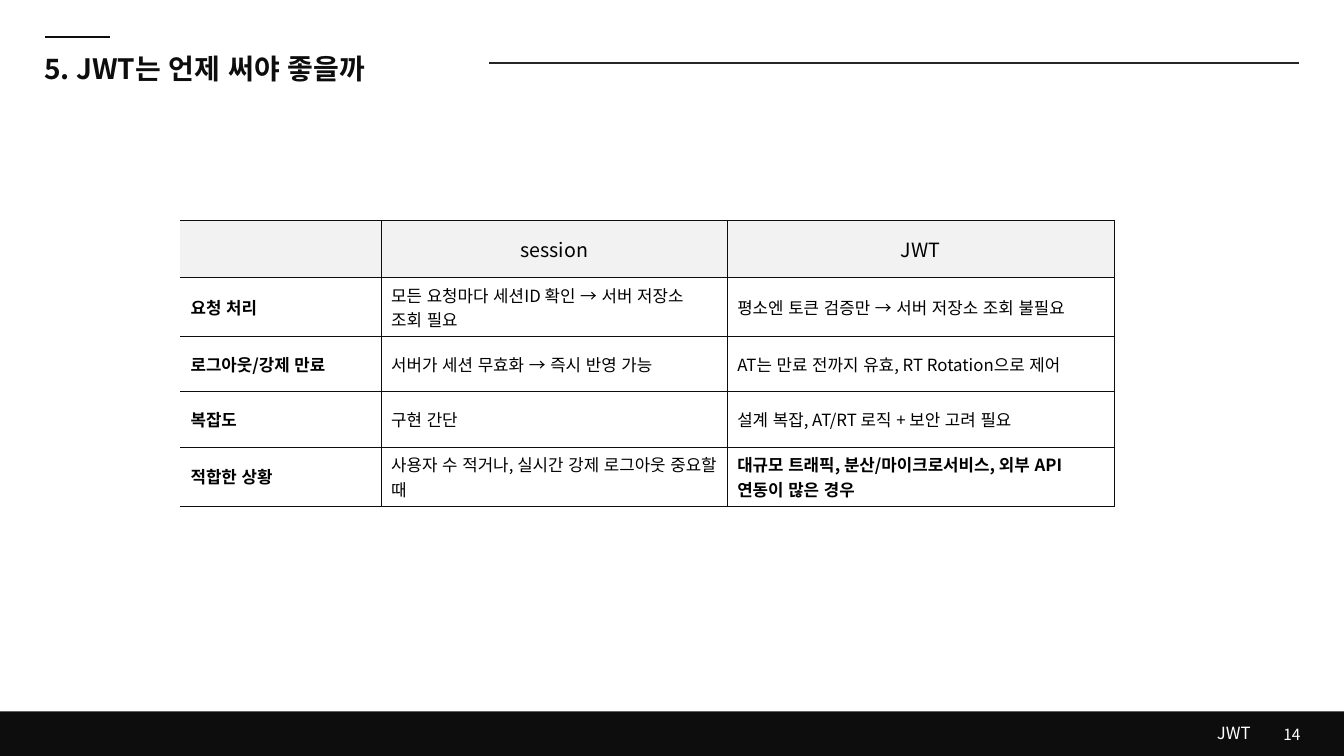
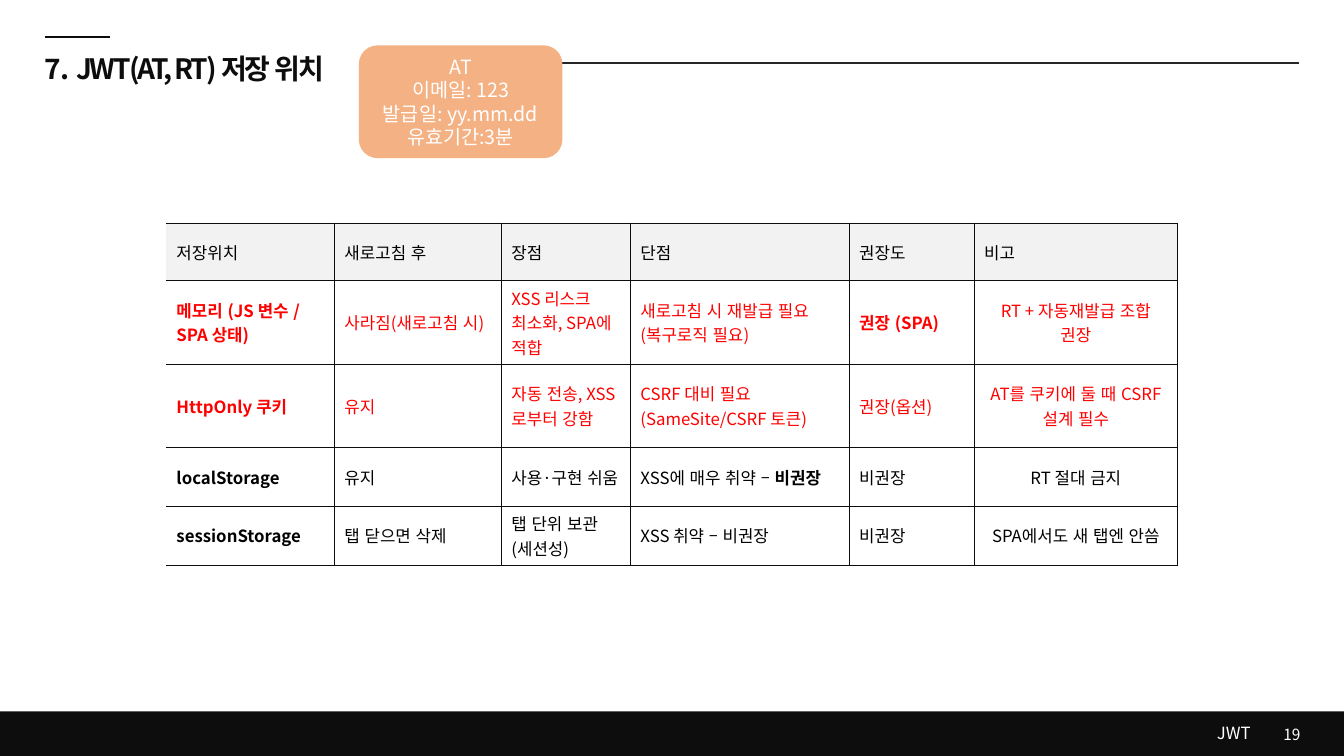
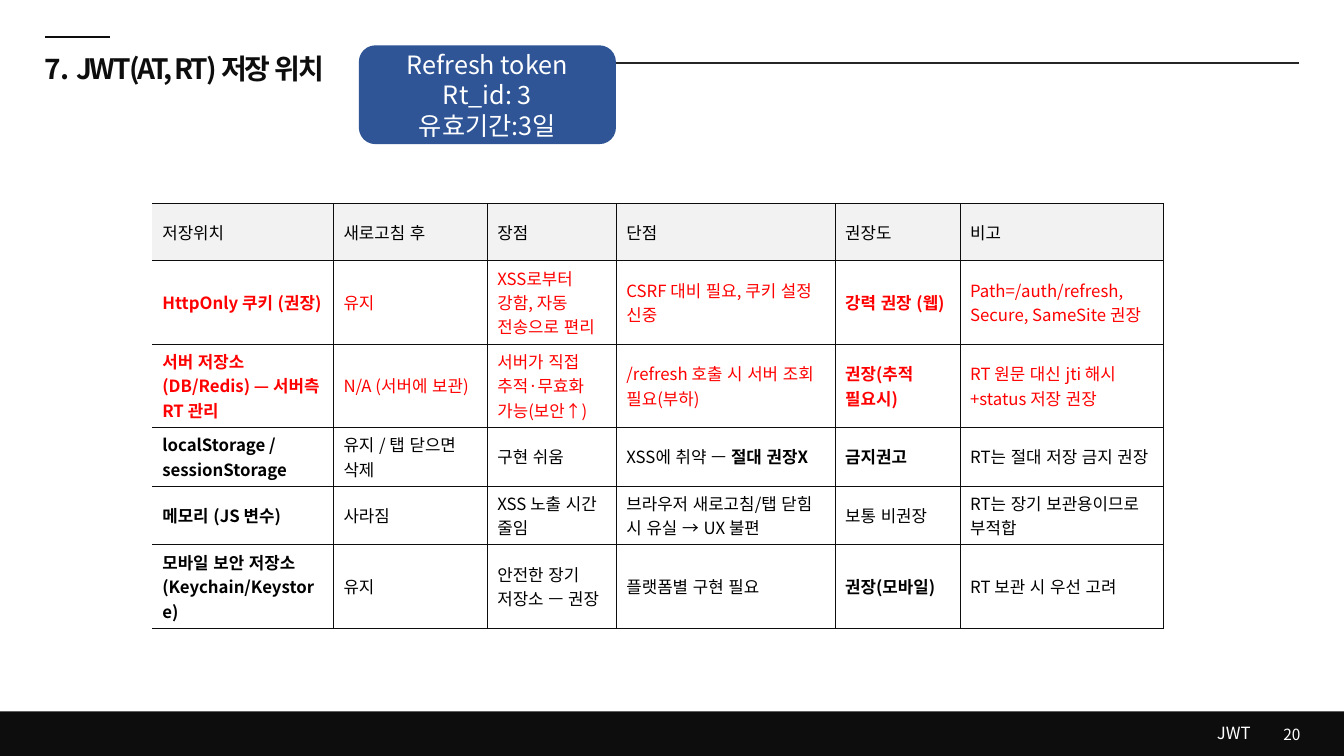
from itertools import product

from lxml import etree
from pptx import Presentation, util as u
from pptx.dml.color import RGBColor
from pptx.enum import shapes, text
from pptx.oxml import ns

WIDTH, HEIGHT = u.Inches(13.33), u.Inches(7.5)
FONT = "Noto Sans CJK KR"
COLOURS = {
    "ink": "0D0D0D", "rule": "262626", "black": "000000", "white": "FFFFFF",
    "header": "F2F2F2", "alert": "FF0000", "access": "F4B183", "refresh": "2F5597",
}
FORMATS = {
    "title": {"size": u.Pt(20), "bold": True, "color": "ink"},
    "number": {"size": u.Pt(11), "color": "white"},
    "footer": {"size": u.Pt(12), "color": "white"},
    "cell": {"size": u.Pt(12), "color": "black"},
    "large": {"size": u.Pt(14), "color": "black"},
    "access": {"size": u.Pt(14), "color": "white"},
    "refresh": {"size": u.Pt(18), "color": "white"},
}
LEFT, CENTER, RIGHT = text.PP_ALIGN.LEFT, text.PP_ALIGN.CENTER, text.PP_ALIGN.RIGHT
MIDDLE = text.MSO_ANCHOR.MIDDLE
HEADER_ROW = 7.6
BODY_ROWS = {1: 7.33, 2: 7.77, 3: 11.03}  # height by number of text lines
STORAGE_HEADER = ["저장위치", "새로고침 후", "장점", "단점", "권장도", "비고"]
STORAGE_TITLE = [("7. ", 0), ("JWT(AT, RT) 저장 위치", -1.5)]

COMPARISON = [
    ["", "session", "JWT"],
    ["요청 처리", "모든 요청마다 세션ID 확인 → 서버 저장소 조회 필요",
     "평소엔 토큰 검증만 → 서버 저장소 조회 불필요"],
    ["로그아웃/강제 만료", "서버가 세션 무효화 → 즉시 반영 가능",
     "AT는 만료 전까지 유효, RT Rotation으로 제어"],
    ["복잡도", "구현 간단", "설계 복잡, AT/RT 로직 + 보안 고려 필요"],
    ["적합한 상황", "사용자 수 적거나, 실시간 강제 로그아웃 중요할 때",
     "**대규모 트래픽, 분산/마이크로서비스, 외부 API 연동이 많은 경우**"],
]
ACCESS_STORAGE = [
    STORAGE_HEADER,
    ["메모리 (JS 변수 / SPA 상태)", "사라짐(새로고침 시)", "XSS 리스크 최소화, SPA에 적합",
     "새로고침 시 재발급 필요(복구로직 필요)", "**권장 (SPA)**", "RT + 자동재발급 조합 권장"],
    ["HttpOnly 쿠키", "유지", "자동 전송, XSS로부터 강함",
     "CSRF 대비 필요(SameSite/CSRF 토큰)", "권장(옵션)", "AT를 쿠키에 둘 때 CSRF 설계 필수"],
    ["localStorage", "유지", "사용·구현 쉬움",
     "XSS에 매우 취약 – **비권장**", "비권장", "RT 절대 금지"],
    ["sessionStorage", "탭 닫으면 삭제", "탭 단위 보관(세션성)",
     "XSS 취약 – 비권장", "비권장", "SPA에서도 새 탭엔 안씀"],
]
REFRESH_STORAGE = [
    STORAGE_HEADER,
    ["HttpOnly 쿠키 (권장)", "유지", "XSS로부터 강함, 자동 전송으로 편리",
     "CSRF 대비 필요, 쿠키 설정 신중", "**강력 권장 (웹)**",
     "Path=/auth/refresh, Secure, SameSite 권장"],
    ["서버 저장소 (DB/Redis) — 서버측 RT 관리", "N/A (서버에 보관)",
     "서버가 직접 추적·무효화 가능(보안↑)", "/refresh 호출 시 서버 조회 필요(부하)",
     "**권장(추적 필요시)**", "RT 원문 대신 jti 해시+status 저장 권장"],
    ["localStorage / sessionStorage", "유지 / 탭 닫으면 삭제", "구현 쉬움",
     "XSS에 취약 — **절대 권장X**", "**금지권고**", "RT는 절대 저장 금지 권장"],
    ["메모리 (JS 변수)", "사라짐", "XSS 노출 시간 줄임",
     "브라우저 새로고침/탭 닫힘 시 유실 → UX 불편", "보통 비권장",
     "RT는 장기 보관용이므로 부적합"],
    ["모바일 보안 저장소 (Keychain/Keystore)", "유지", "안전한 장기 저장소 — 권장",
     "플랫폼별 구현 필요", "**권장(모바일)**", "RT 보관 시 우선 고려"],
]


def across(percent):
    return round(WIDTH * percent / 100)


def down(percent):
    return round(HEIGHT * percent / 100)


def place(left, top, width, height):
    return across(left), down(top), across(width), down(height)


def colour(name):
    return RGBColor.from_string(COLOURS[name])


def add_span(para, words, values, spacing=0):
    """Add a Korean run; spacing is the letter spacing in points."""
    span = para.add_run()
    span.text = words
    for name, value in values.items():
        if name == "color":
            span.font.color.rgb = colour(value)
        else:
            setattr(span.font, name, value)
    span.font.name = FONT
    properties = span.font._element
    etree.SubElement(properties, ns.qn("a:ea"), typeface=FONT)
    properties.set("lang", "ko-KR")
    properties.set("altLang", "en-US")
    if spacing:
        properties.set("spc", str(round(spacing * 100)))


def add_text(page, area, spans, style, align=LEFT, **layout):
    box = page.shapes.add_textbox(*place(*area))
    box.text_frame.word_wrap = True
    box.text_frame.vertical_anchor = layout.get("anchor", text.MSO_ANCHOR.TOP)
    para = box.text_frame.paragraphs[0]
    para.alignment = align
    para.line_spacing = layout.get("line_spacing")
    for words, spacing in spans:
        add_span(para, words, FORMATS[style], spacing)


def add_rule(page, start, end, height, shade, weight):
    rule = page.shapes.add_connector(
        shapes.MSO_CONNECTOR.STRAIGHT, across(start), down(height), across(end), down(height))
    rule.line.color.rgb = colour(shade)
    rule.line.width = u.Pt(weight)
    etree.SubElement(rule._element.spPr, ns.qn("a:effectLst"))


def add_block(page, preset, area, shade):
    block = page.shapes.add_shape(preset, *place(*area))
    block.shadow.inherit = False
    block.fill.solid()
    block.fill.fore_color.rgb = colour(shade)
    block.line.fill.background()
    return block


def add_callout(page, width, height, lines, kind):
    callout = add_block(page, shapes.MSO_SHAPE.ROUNDED_RECTANGLE, (26.7, 6, width, height), kind)
    frame = callout.text_frame
    frame.word_wrap = True
    frame.vertical_anchor = MIDDLE
    for index, words in enumerate(lines):
        para = frame.add_paragraph() if index else frame.paragraphs[0]
        para.alignment = CENTER
        add_span(para, words, FORMATS[kind])


def set_borders(cell, open_left):
    properties = cell._tc.get_or_add_tcPr()
    for side in "LRTB":
        border = etree.SubElement(properties, ns.qn(f"a:ln{side}"), w=str(u.Pt(0.5)))
        if side == "L" and open_left:
            etree.SubElement(border, ns.qn("a:noFill"))
        else:
            paint = etree.SubElement(border, ns.qn("a:solidFill"))
            etree.SubElement(paint, ns.qn("a:srgbClr"), val=COLOURS["ink"])


def fill_cell(cell, words, values, align):
    """Write words into a cell; parts between double asterisks are bold."""
    cell.vertical_anchor = MIDDLE
    para = cell.text_frame.paragraphs[0]
    para.alignment = align
    for index, part in enumerate(words.split("**")):
        if part:
            add_span(para, part, {"bold": index % 2 == 1, **values})


def add_grid(page, left, top, columns, rows, lines, alerts=0, header="cell", centred=()):
    """Add a table.

    lines gives the text lines of each body row, alerts counts the red rows,
    and centred holds (row is header, column) pairs.
    """
    heights = [HEADER_ROW] + [BODY_ROWS[count] for count in lines]
    area = place(left, top, sum(columns), sum(heights))
    table = page.shapes.add_table(len(rows), len(columns), *area).table
    table.first_row = table.horz_banding = False
    for column, width in zip(table.columns, columns):
        column.width = across(width)
    for row, height in zip(table.rows, heights):
        row.height = down(height)
    for row, column in product(range(len(rows)), range(len(columns))):
        cell = table.cell(row, column)
        is_header = row == 0
        values = dict(FORMATS[header if is_header else "cell"])
        if 0 < row <= alerts:
            values["color"] = "alert"
        if column == 0 and not is_header:
            values["bold"] = True
        align = CENTER if (is_header, column) in centred else LEFT
        fill_cell(cell, rows[row][column], values, align)
        set_borders(cell, open_left=column == 0)
        if is_header:
            cell.fill.solid()
            cell.fill.fore_color.rgb = colour("header")
        else:
            cell.fill.background()


def add_page(deck, number, title):
    """Add a blank slide with the shared band, rules, footer and title."""
    page = deck.slides.add_slide(deck.slide_layouts[6])
    add_block(page, shapes.MSO_SHAPE.RECTANGLE, (0, 94.1, 100, 5.9), "ink")
    add_text(page, (92.4, 95.25, 5.1, 3.87), [(str(number), 0)], "number", RIGHT)
    add_rule(page, 3.38, 8.18, 4.93, "ink", 1.75)
    add_text(page, (71.67, 94.93, 22.13, 4), [("JWT", 0)], "footer", RIGHT)
    add_rule(page, 96.68, 36.38, 8.33, "rule", 1.25)
    add_text(page, (2.55, 4.93, 36.83, 6.93), title, "title", anchor=MIDDLE, line_spacing=1.3)
    return page


def main():
    deck = Presentation()
    deck.slide_width, deck.slide_height = WIDTH, HEIGHT

    page = add_page(deck, 14, [("5. JWT는 언제 써야 좋을까", 0)])
    add_grid(page, 13.43, 29.13, [14.93, 25.75, 28.8], COMPARISON, [2, 1, 1, 2],
             header="large", centred=[(True, 1), (True, 2)])

    shared_columns = [9.6, 16.28, 9.3, 15.15]
    page = add_page(deck, 19, STORAGE_TITLE)
    add_grid(page, 12.38, 29.53, [12.5, 12.42] + shared_columns, ACCESS_STORAGE, [3, 3, 2, 2],
             alerts=2, centred=[(False, 5)])
    add_callout(page, 15.15, 14.93,
                ["AT", "이메일: 123", "발급일: yy.mm.dd", "유효기간:3분"], "access")

    page = add_page(deck, 20, STORAGE_TITLE)
    add_grid(page, 11.33, 26.87, [13.48, 11.45] + shared_columns, REFRESH_STORAGE,
             [3, 3, 2, 2, 3], alerts=2)
    add_callout(page, 19.13, 13.07, ["Refresh token", "Rt_id: 3", "유효기간:3일"], "refresh")

    deck.save("out.pptx")


if __name__ == "__main__":
    main()
